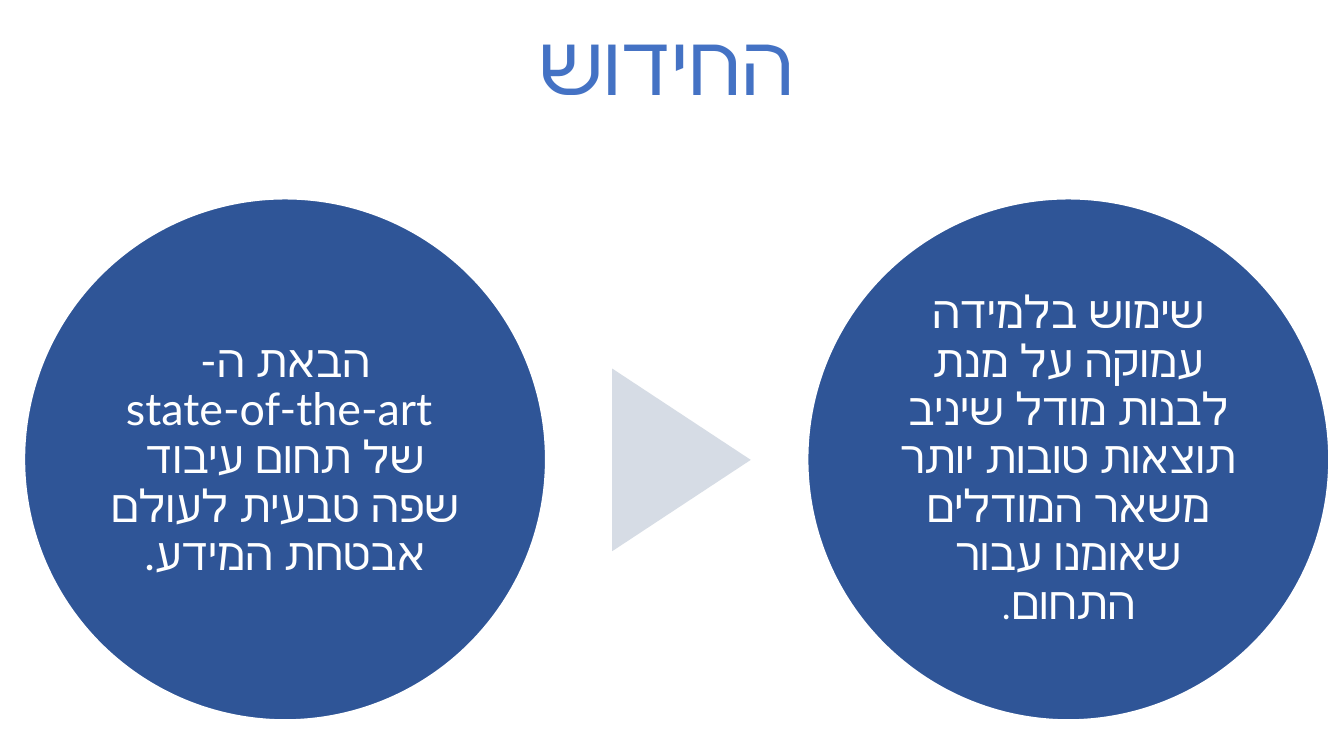
from pptx import Presentation
from pptx.dml.color import RGBColor
from pptx.enum.shapes import MSO_SHAPE
from pptx.enum.text import MSO_ANCHOR, MSO_AUTO_SIZE, PP_ALIGN
from pptx.oxml.ns import qn
from pptx.util import Emu, Pt
from lxml import etree

OVAL, TRIANGLE = MSO_SHAPE.OVAL, MSO_SHAPE.ISOSCELES_TRIANGLE
CENTER = PP_ALIGN.CENTER
TOP, MIDDLE = MSO_ANCHOR.TOP, MSO_ANCHOR.MIDDLE
FIT_SHAPE = MSO_AUTO_SIZE.SHAPE_TO_FIT_TEXT

BLUE, DARK_BLUE, PALE_GREY, WHITE = "4472C4", "2F5597", "D6DCE5", "FFFFFF"
TITLE_FONT, BODY_FONT = "Calibri", "Lato"

CIRCLE_TOP, CIRCLE_SIZE = 189, 497
CIRCLES = [
    (23, ["הבאת ה-", " state-of-the-art",
          "של תחום עיבוד שפה טבעית לעולם אבטחת המידע."], ""),
    (769, ["שימוש בלמידה עמוקה על מנת לבנות מודל שיניב תוצאות טובות יותר "
           "משאר המודלים שאומנו עבור התחום"], "."),
]


def px(length):
    return Emu(length * 9525)


def color(value):
    return RGBColor.from_string(value)


def add_run(paragraph, text, size, font, fill):
    run = paragraph.add_run()
    run.text = text
    run.font.size = Pt(size)
    run.font.name = font
    run.font.color.rgb = color(fill)
    # Hebrew letters take the complex-script typeface
    properties = run.font._element
    etree.SubElement(properties, qn("a:cs")).set("typeface", font)


def write_text(frame, lines, *, size, font, fill, anchor=TOP, spacing=None,
               ending=""):
    """Write centred right-to-left lines; the ending is a smaller last run."""
    frame.word_wrap = True
    frame.vertical_anchor = anchor
    paragraph = frame.paragraphs[0]
    paragraph.alignment = CENTER
    paragraph.line_spacing = spacing
    paragraph._p.get_or_add_pPr().set("rtl", "1")
    for index, line in enumerate(lines):
        if index:
            paragraph.add_line_break()
        add_run(paragraph, line, size, font, fill)
    if ending:
        add_run(paragraph, ending, 28, TITLE_FONT, fill)


def add_filled_shape(slide, kind, left, top, width, height, fill):
    shape = slide.shapes.add_shape(kind, px(left), px(top), px(width), px(height))
    shape.shadow.inherit = False
    shape.fill.solid()
    shape.fill.fore_color.rgb = color(fill)
    shape.line.fill.background()
    return shape


def add_title(slide, left, top, width, height):
    box = slide.shapes.add_textbox(px(left), px(top), px(width), px(height))
    write_text(box.text_frame, ["החידוש"], size=60, font=TITLE_FONT, fill=BLUE)
    box.text_frame.auto_size = FIT_SHAPE


def add_circle(slide, left, top, size, lines, ending):
    circle = add_filled_shape(slide, OVAL, left, top, size, size, DARK_BLUE)
    circle.line.color.rgb = color(WHITE)
    circle.line.width = Pt(1.5)
    frame = circle.text_frame
    frame.margin_left = frame.margin_right = px(4)
    frame.margin_top = frame.margin_bottom = px(4)
    write_text(frame, lines, size=32, font=BODY_FONT, fill=WHITE,
               anchor=MIDDLE, spacing=0.9, ending=ending)


def add_arrow(slide, left, top, width, height):
    arrow = add_filled_shape(slide, TRIANGLE, left, top, width, height, PALE_GREY)
    arrow.rotation = 90


def build_innovation_slide(presentation):
    slide = presentation.slides.add_slide(presentation.slide_layouts[6])
    for left, lines, ending in CIRCLES:
        add_circle(slide, left, CIRCLE_TOP, CIRCLE_SIZE, lines, ending)
    add_arrow(slide, 562, 372, 174, 132)
    add_title(slide, 3, 6, 1263, 107)


def main():
    presentation = Presentation()
    presentation.slide_width = px(1280)
    presentation.slide_height = px(720)
    build_innovation_slide(presentation)
    presentation.save("out.pptx")


if __name__ == "__main__":
    main()
